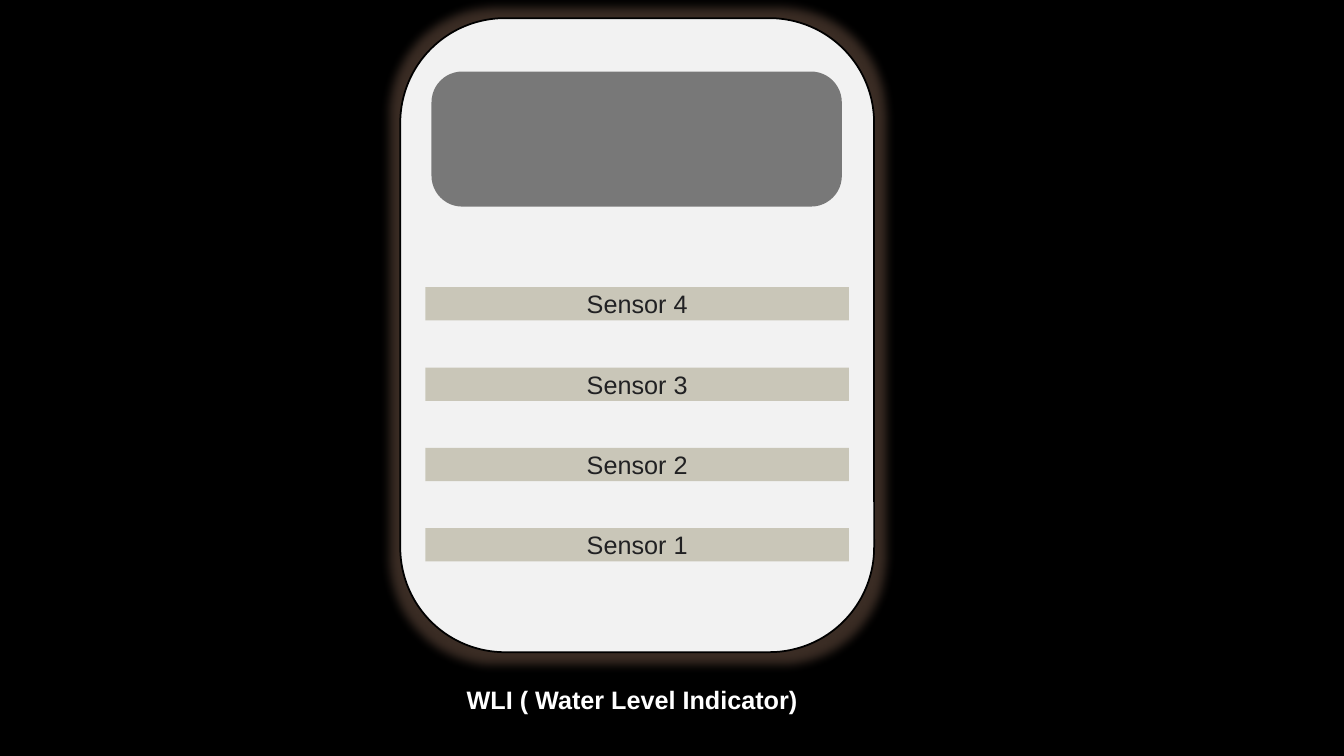
from lxml import etree
from pptx import Presentation
from pptx.dml.color import RGBColor
from pptx.enum.shapes import MSO_SHAPE
from pptx.enum.text import MSO_ANCHOR, MSO_AUTO_SIZE, PP_ALIGN
from pptx.oxml import parse_xml
from pptx.oxml.ns import nsdecls, qn
from pptx.util import Inches, Pt

RECTANGLE = MSO_SHAPE.RECTANGLE
ROUNDED = MSO_SHAPE.ROUNDED_RECTANGLE
MIDDLE = MSO_ANCHOR.MIDDLE
CENTER = PP_ALIGN.CENTER
FIT_TEXT = MSO_AUTO_SIZE.SHAPE_TO_FIT_TEXT

BLACK = RGBColor(0x00, 0x00, 0x00)
WHITE = RGBColor(0xFF, 0xFF, 0xFF)
CASE = RGBColor(0xF2, 0xF2, 0xF2)
KHAKI = RGBColor(0xA1, 0x9C, 0x7F)
INK = RGBColor(0x21, 0x21, 0x23)
GLOW = RGBColor(0x91, 0x6E, 0x5A)

CAPTION = "WLI ( Water Level Indicator)"
SENSORS = ["Sensor 4", "Sensor 3", "Sensor 2", "Sensor 1"]
CASE_BOX = (3.97, 0.18, 4.7, 6.29)
SCREEN_BOX = (4.28, 0.71, 4.07, 1.34)
CAPTION_BOX = (4.53, 6.74, 3.58, 0.4)
SENSOR_LEFT, SENSOR_WIDTH, SENSOR_HEIGHT = 4.22, 4.2, 0.33
FIRST_TOP, LAST_TOP = 2.85, 5.24
LABEL_FONT = {"name": "Arial", "size": Pt(18), "bold": False}
CAPTION_FONT = {"name": "Arial", "size": Pt(18), "bold": True}


def add_block(page, kind, box, color, opacity=100, corner=None):
    """Add a filled shape without an outline."""
    shape = page.shapes.add_shape(kind, *map(Inches, box))
    shape.shadow.inherit = False
    shape.fill.solid()
    shape.fill.fore_color.rgb = color
    shape.line.fill.background()
    if corner is not None:
        shape.adjustments[0] = corner
    if opacity < 100:
        tint = shape._element.spPr.find(qn("a:solidFill")).find(qn("a:srgbClr"))
        etree.SubElement(tint, qn("a:alpha")).set("val", str(opacity * 1000))
    return shape


def write(frame, text, color, font):
    """Write one formatted line in a text frame."""
    para = frame.paragraphs[0]
    span = para.add_run()
    span.text = text
    for name, value in font.items():
        setattr(span.font, name, value)
    span.font.color.rgb = color
    return para


def add_case(page):
    """Add the indicator case with its glow and shadow."""
    case = add_block(page, ROUNDED, CASE_BOX, CASE, corner=0.221)
    case.line.color.rgb = BLACK
    case.line.width = Pt(1.25)
    properties = case._element.spPr
    effects = parse_xml(
        f'<a:effectLst {nsdecls("a")}>'
        f'<a:glow rad="{Inches(0.2)}"><a:srgbClr val="{GLOW}">'
        '<a:alpha val="40000"/></a:srgbClr></a:glow>'
        f'<a:outerShdw blurRad="{Pt(4)}" dist="{Pt(3)}" dir="18900000" '
        'algn="bl" rotWithShape="0"><a:srgbClr val="000000">'
        '<a:alpha val="40000"/></a:srgbClr></a:outerShdw></a:effectLst>')
    properties.replace(properties.find(qn("a:effectLst")), effects)


def add_sensors(page):
    """Add the evenly spaced sensor bars."""
    step = (LAST_TOP - FIRST_TOP) / (len(SENSORS) - 1)
    for index, label in enumerate(SENSORS):
        box = (SENSOR_LEFT, FIRST_TOP + index * step, SENSOR_WIDTH, SENSOR_HEIGHT)
        frame = add_block(page, RECTANGLE, box, KHAKI, opacity=50).text_frame
        frame.vertical_anchor = MIDDLE
        write(frame, label, INK, LABEL_FONT).alignment = CENTER


def main():
    """Build the water level indicator slide."""
    deck = Presentation()
    deck.slide_width, deck.slide_height = Inches(13.33), Inches(7.5)
    page = deck.slides.add_slide(deck.slide_layouts[6])
    page.background.fill.solid()
    page.background.fill.fore_color.rgb = BLACK
    add_case(page)
    add_sensors(page)
    add_block(page, ROUNDED, SCREEN_BOX, BLACK, opacity=50, corner=0.228)
    frame = page.shapes.add_textbox(*map(Inches, CAPTION_BOX)).text_frame
    frame.word_wrap = True
    frame.auto_size = FIT_TEXT
    write(frame, CAPTION, WHITE, CAPTION_FONT)
    deck.save("out.pptx")


if __name__ == "__main__":
    main()
